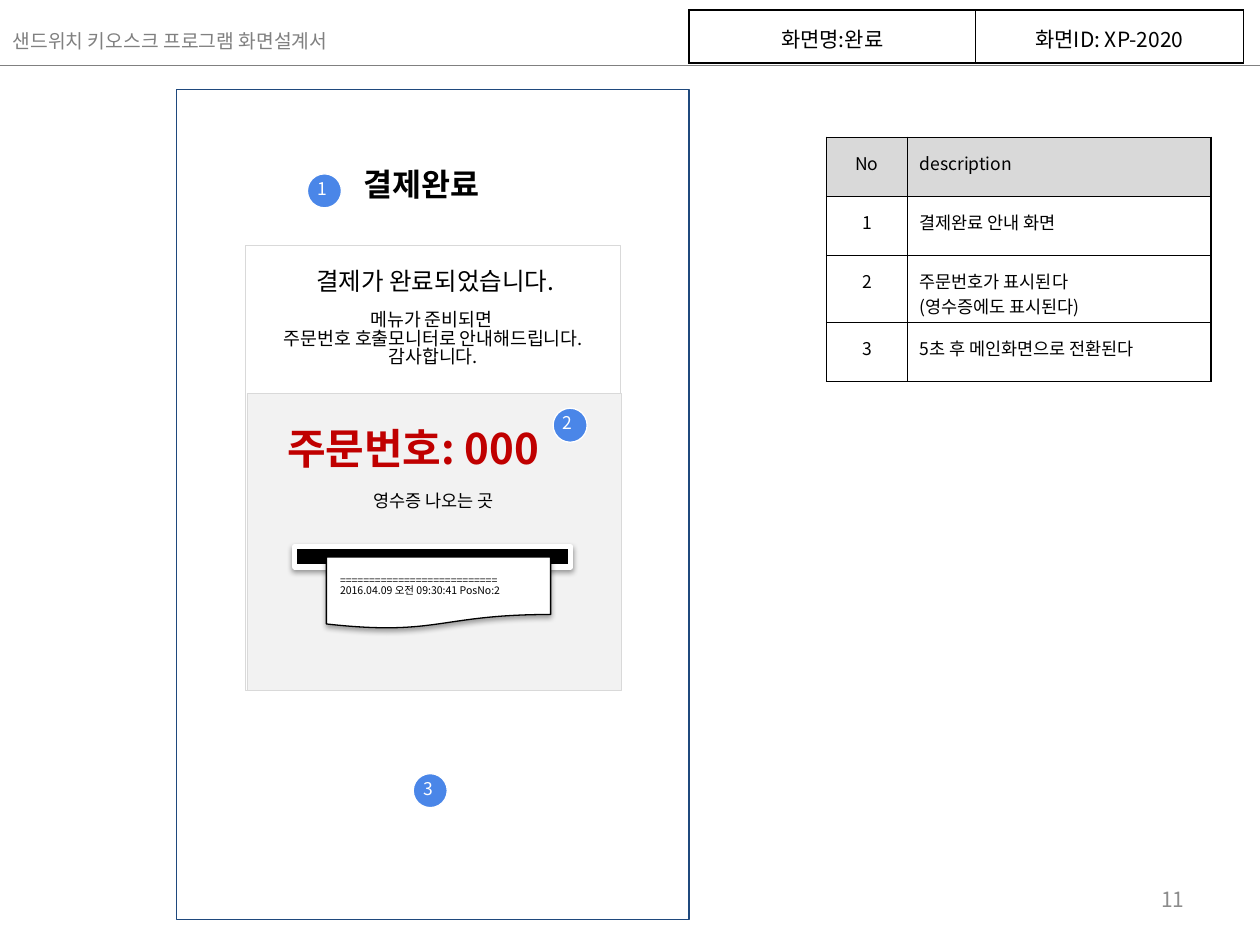
from dataclasses import dataclass
from typing import Optional

from lxml.etree import SubElement
from pptx import Presentation
from pptx.dml.color import RGBColor
from pptx.enum.shapes import MSO_CONNECTOR, MSO_SHAPE
from pptx.enum.text import MSO_ANCHOR, MSO_AUTO_SIZE, PP_ALIGN
from pptx.oxml.ns import qn
from pptx.util import Inches, Pt

COLUMNS, ROWS = 100, 75
CELL = Inches(0.1)
FONT = "Noto Sans CJK KR"
TEXT_SPACING = 0.83

BLACK = RGBColor(0x00, 0x00, 0x00)
WHITE = RGBColor(0xFF, 0xFF, 0xFF)
GRAY = RGBColor(0x80, 0x80, 0x80)
NUMBER_GRAY = RGBColor(0x8C, 0x8C, 0x8C)
HEADER_GRAY = RGBColor(0xD9, 0xD9, 0xD9)
PANEL_GRAY = RGBColor(0xF2, 0xF2, 0xF2)
NAVY = RGBColor(0x1F, 0x49, 0x7D)
BLUE = RGBColor(0x4A, 0x86, 0xE8)
RED = RGBColor(0xC0, 0x00, 0x00)


@dataclass(frozen=True)
class Area:
    left: float
    top: float
    width: float
    height: float

    def lengths(self) -> tuple:
        return tuple(round(CELL * n) for n in (self.left, self.top, self.width, self.height))


@dataclass(frozen=True)
class Panel:
    area: Area
    fill: RGBColor
    line: RGBColor
    weight: float
    kind: MSO_SHAPE = MSO_SHAPE.RECTANGLE
    shadow_alpha: int = 0
    shadow_distance: float = 0


@dataclass(frozen=True)
class Label:
    area: Area
    text: str
    size: float
    color: RGBColor = BLACK
    bold: bool = False
    align: PP_ALIGN = PP_ALIGN.CENTER
    wrap: bool = False
    anchor: MSO_ANCHOR = MSO_ANCHOR.TOP
    inset: Optional[float] = None
    grow: bool = True


@dataclass(frozen=True)
class Badge:
    number: int
    left: float
    top: float


@dataclass(frozen=True)
class Grid:
    left: float
    top: float
    widths: tuple
    heights: tuple
    rows: tuple
    size: float
    centered: tuple
    header: bool = False


SCREEN = (
    Panel(Area(14, 7.1, 40.7, 65.9), WHITE, NAVY, 0.75),
    Panel(Area(19.5, 19.5, 29.7, 35.3), WHITE, HEADER_GRAY, 0.25),
    Panel(Area(19.6, 31.2, 29.7, 23.6), PANEL_GRAY, HEADER_GRAY, 0.25),
    Panel(Area(23.4, 43.4, 21.9, 1.6), BLACK, WHITE, 3, shadow_alpha=38, shadow_distance=1.6),
    Panel(Area(25.9, 44.2, 17.8, 5.7), WHITE, BLACK, 0.75,
          MSO_SHAPE.FLOWCHART_DOCUMENT, 35, 1.8),
)
HEADING = Label(Area(0, 2.1, 29.6, 2.9), "샌드위치 키오스크 프로그램 화면설계서", 11, GRAY,
                align=PP_ALIGN.LEFT, wrap=True)
LABELS = (
    Label(Area(71.7, 69.5, 23.3, 4), "11", 12, NUMBER_GRAY, align=PP_ALIGN.RIGHT,
          wrap=True, anchor=MSO_ANCHOR.MIDDLE, grow=False),
    Label(Area(27.4, 13.1, 12.1, 4), "결제완료", 18, bold=True),
    Label(Area(19.8, 21, 29.5, 3.4), "결제가 완료되었습니다.", 14, wrap=True),
    Label(Area(20.2, 24.3, 28.4, 6.3),
          "메뉴가 준비되면 \n주문번호 호출모니터로 안내해드립니다.\n감사합니다.", 10.5),
    Label(Area(21.8, 33.7, 23.4, 5), "주문번호: 000", 24, RED, True, PP_ALIGN.LEFT),
    Label(Area(28, 38.7, 12.8, 2.7), "영수증 나오는 곳", 10),
    Label(Area(26, 45.2, 18.1, 3),
          "=" * 27 + "\n2016.04.09 오전 09:30:41 PosNo:2", 6, align=PP_ALIGN.LEFT),
)
BADGES = (Badge(1, 24.4, 13.8), Badge(2, 43.9, 32.4), Badge(3, 32.8, 61.4))
GRIDS = (
    Grid(54.7, 0.8, (22.7, 21.3), (4.2,), (("화면명:완료", "화면ID: XP-2020"),),
         12, (True, True)),
    Grid(65.6, 10.9, (6.4, 24.1), (4.7, 4.7, 5.3, 4.7),
         (("No", "description"),
          ("1", "결제완료 안내 화면"),
          ("2", "주문번호가 표시된다\n(영수증에도 표시된다)"),
          ("3", "5초 후 메인화면으로 전환된다")),
         10, (True, False), True),
)


def format_text(frame, size: float, color: RGBColor, bold: bool, align: PP_ALIGN) -> None:
    for para in frame.paragraphs:
        para.alignment = align
        para.font.size = Pt(size)
        para.font.bold = bold
        para.font.color.rgb = color
        para.font.name = FONT
        SubElement(para.font._element, qn("a:ea"), typeface=FONT)


def write_label(box, label: Label) -> None:
    box.left, box.top, box.width, box.height = label.area.lengths()
    frame = box.text_frame
    frame.text = label.text
    frame.word_wrap = label.wrap
    frame.auto_size = MSO_AUTO_SIZE.SHAPE_TO_FIT_TEXT if label.grow else MSO_AUTO_SIZE.NONE
    frame.vertical_anchor = label.anchor
    if label.inset is not None:
        frame.margin_left = frame.margin_right = round(CELL * label.inset)
        frame.margin_top = frame.margin_bottom = round(CELL * label.inset)
    format_text(frame, label.size, label.color, label.bold, label.align)
    for para in frame.paragraphs:
        para.line_spacing = TEXT_SPACING


def draw_label(shapes, label: Label) -> None:
    write_label(shapes.add_textbox(*label.area.lengths()), label)


def draw_panel(shapes, panel: Panel) -> None:
    shape = shapes.add_shape(panel.kind, *panel.area.lengths())
    shape.fill.solid()
    shape.fill.fore_color.rgb = panel.fill
    shape.line.color.rgb = panel.line
    shape.line.width = Pt(panel.weight)
    shape.shadow.inherit = False
    if panel.shadow_alpha:
        effects = shape._element.spPr.find(qn("a:effectLst"))
        shadow = SubElement(effects, qn("a:outerShdw"), blurRad=str(Pt(3.1)),
                            dist=str(Pt(panel.shadow_distance)), dir="5400000", rotWithShape="0")
        color = SubElement(shadow, qn("a:srgbClr"), val=str(BLACK))
        SubElement(color, qn("a:alpha"), val=str(panel.shadow_alpha * 1000))


def draw_badge(shapes, badge: Badge) -> None:
    group = shapes.add_group_shape()
    draw_panel(group.shapes, Panel(Area(badge.left, badge.top, 2.7, 2.7), BLUE, WHITE, 0.75,
                                   MSO_SHAPE.OVAL))
    draw_label(group.shapes, Label(Area(badge.left - 0.2, badge.top - 0.4, 3.4, 3.4),
                                   str(badge.number), 10, WHITE, align=PP_ALIGN.LEFT,
                                   wrap=True, inset=1, grow=False))


def draw_border(cell, side: str, weight: float) -> None:
    line = SubElement(cell._tc.get_or_add_tcPr(), qn(f"a:ln{side}"), w=str(Pt(weight)))
    fill = SubElement(line, qn("a:solidFill"))
    SubElement(fill, qn("a:srgbClr"), val=str(BLACK))


def draw_grid(shapes, grid: Grid) -> None:
    area = Area(grid.left, grid.top, sum(grid.widths), sum(grid.heights))
    table = shapes.add_table(len(grid.heights), len(grid.widths), *area.lengths()).table
    table.first_row = table.horz_banding = False
    for column, width in zip(table.columns, grid.widths):
        column.width = round(CELL * width)
    last = len(grid.widths) - 1
    for r, (row, height) in enumerate(zip(table.rows, grid.heights)):
        row.height = round(CELL * height)
        for c, cell in enumerate(row.cells):
            cell.text = grid.rows[r][c]
            cell.margin_left = cell.margin_right = cell.margin_top = CELL
            cell.margin_bottom = Inches(0.02)
            align = PP_ALIGN.CENTER if grid.centered[c] else PP_ALIGN.LEFT
            format_text(cell.text_frame, grid.size, BLACK, False, align)
            draw_border(cell, "L", 1 if c == 0 else 0.5)
            draw_border(cell, "R", 1 if c == last else 0.5)
            draw_border(cell, "T", 1)
            draw_border(cell, "B", 1)
            if grid.header and r == 0:
                cell.fill.solid()
                cell.fill.fore_color.rgb = HEADER_GRAY
            else:
                cell.fill.background()


def main() -> None:
    deck = Presentation()
    deck.slide_width, deck.slide_height = CELL * COLUMNS, CELL * ROWS
    page = deck.slides.add_slide(deck.slide_layouts[5])
    write_label(page.shapes.title, HEADING)
    rule = page.shapes.add_connector(MSO_CONNECTOR.STRAIGHT, 0, Inches(0.52),
                                     deck.slide_width, Inches(0.52))
    rule.line.color.rgb = GRAY
    rule.line.width = Pt(1)
    SubElement(rule._element.spPr, qn("a:effectLst"))
    for draw, items in ((draw_grid, GRIDS), (draw_panel, SCREEN),
                        (draw_label, LABELS), (draw_badge, BADGES)):
        for item in items:
            draw(page.shapes, item)
    deck.save("out.pptx")


if __name__ == "__main__":
    main()
